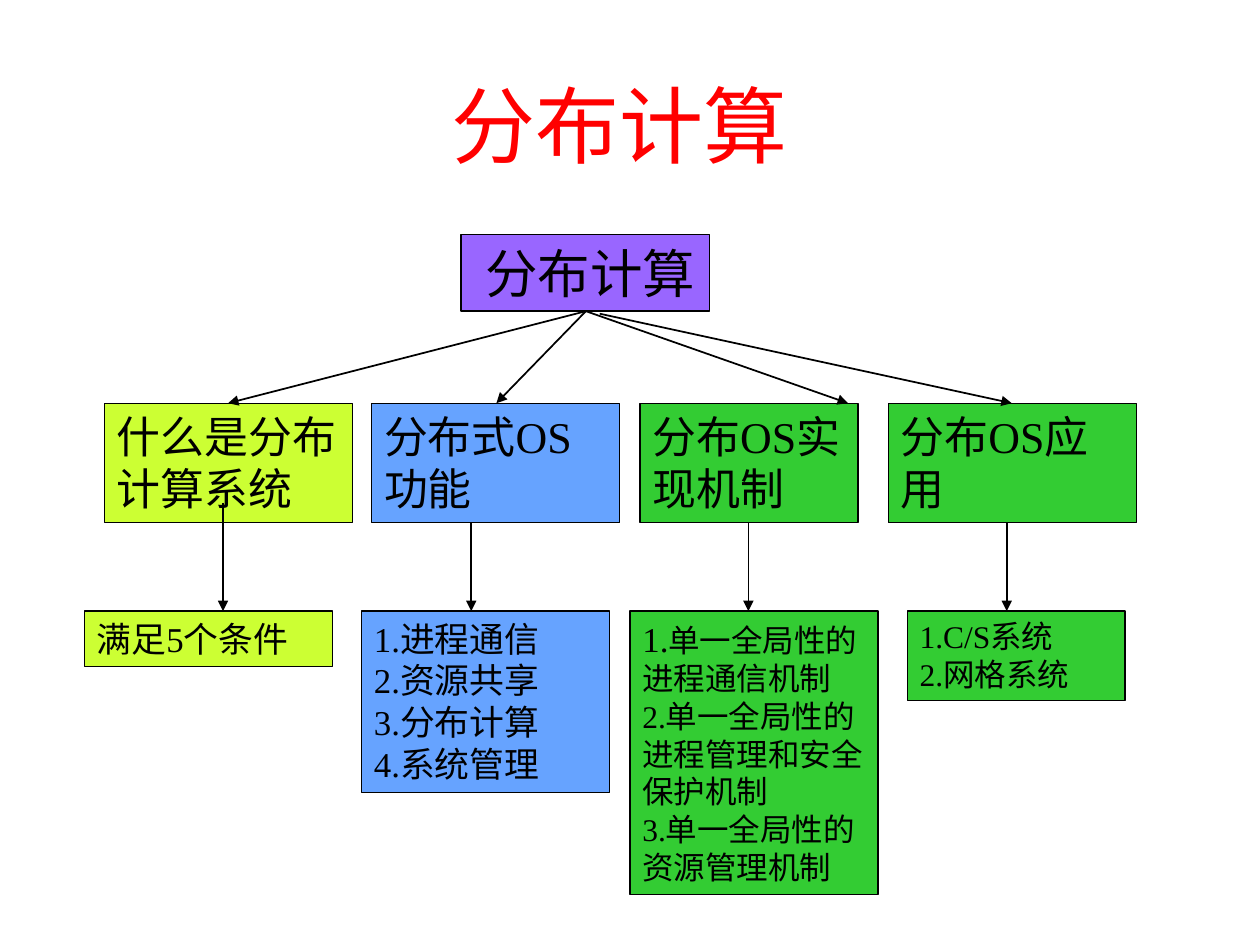
from lxml import etree
from pptx import Presentation
from pptx.dml.color import RGBColor
from pptx.enum.shapes import MSO_CONNECTOR, MSO_SHAPE
from pptx.enum.text import MSO_ANCHOR, PP_ALIGN
from pptx.oxml.ns import qn
from pptx.util import Inches, Pt

STRAIGHT = MSO_CONNECTOR.STRAIGHT
RECTANGLE = MSO_SHAPE.RECTANGLE
TOP, MIDDLE = MSO_ANCHOR.TOP, MSO_ANCHOR.MIDDLE
LEFT, CENTER = PP_ALIGN.LEFT, PP_ALIGN.CENTER

FONT = "Times New Roman"
BLACK, RED = "000000", "FF0000"
PURPLE, LIME, BLUE, GREEN = "9966FF", "CCFF33", "66A3FF", "33CC33"

# Rows of the tree, in inches
ROOT_TOP, ROOT_BOTTOM = 1.86, 2.47
TOPIC_TOP, TOPIC_HEIGHT = 3.2, 0.95
TOPIC_BOTTOM = TOPIC_TOP + TOPIC_HEIGHT
DETAIL_TOP = 4.85
# Box widths
WIDE, NARROW = 1.97, 1.73

presentation = Presentation()
presentation.slide_width = Inches(10)
presentation.slide_height = Inches(7.5)
slide = presentation.slides.add_slide(presentation.slide_layouts[6])


def add_box(lines, left, top, width, height, size, fill=None, color=BLACK,
            align=LEFT, anchor=TOP):
    shape = slide.shapes.add_shape(
        RECTANGLE, Inches(left), Inches(top), Inches(width), Inches(height))
    shape.shadow.inherit = False
    if fill:
        shape.fill.solid()
        shape.fill.fore_color.rgb = RGBColor.from_string(fill)
        shape.line.color.rgb = RGBColor.from_string(BLACK)
        shape.line.width = Pt(0.75)
    else:
        shape.fill.background()
        shape.line.fill.background()
    text_frame = shape.text_frame
    text_frame.word_wrap = True
    text_frame.vertical_anchor = anchor
    text_frame.text = "\n".join(lines)
    for paragraph in text_frame.paragraphs:
        paragraph.alignment = align
        for run in paragraph.runs:
            run.font.name = FONT
            run.font.size = Pt(size)
            run.font.color.rgb = RGBColor.from_string(color)
    return shape


def add_arrow(start_x, start_y, end_x, end_y):
    arrow = slide.shapes.add_connector(
        STRAIGHT, Inches(start_x), Inches(start_y), Inches(end_x), Inches(end_y))
    arrow.line.color.rgb = RGBColor.from_string(BLACK)
    arrow.line.width = Pt(1)
    etree.SubElement(arrow.line._get_or_add_ln(), qn("a:tailEnd"), type="triangle")
    etree.SubElement(arrow._element.spPr, qn("a:effectLst"))


# Title
add_box(["分布计算"], 0.67, 0.36, 8.5, 1.25, 48, color=RED,
        align=CENTER, anchor=MIDDLE)

# Root of the tree, its text set in a little from the left
root = add_box(["分布计算"], 3.66, ROOT_TOP, WIDE, ROOT_BOTTOM - ROOT_TOP, 30, PURPLE)
root.text_frame.margin_left = Inches(0.19)
root.text_frame.margin_right = Inches(0.05)

# Topics: text, fill, left, width, arrow start and arrow end
topics = [
    ("什么是分布计算系统", LIME, 0.83, WIDE, (4.65, ROOT_BOTTOM), 1.81),
    ("分布式OS功能", BLUE, 2.95, WIDE, (4.65, ROOT_BOTTOM), 3.94),
    ("分布OS实现机制", GREEN, 5.08, NARROW, (4.65, ROOT_BOTTOM), 6.73),
    ("分布OS应用", GREEN, 7.05, WIDE, (4.76, 2.49), 8.03),
]
for text, fill, left, width, start, end_x in topics:
    add_box([text], left, TOPIC_TOP, width, TOPIC_HEIGHT, 25.1, fill)
    add_arrow(*start, end_x, TOPIC_TOP)

# Details: lines, fill, left, width, height, text size, arrow x and arrow top
details = [
    (["满足5个条件"], LIME, 0.67, WIDE, 0.44, 19.9, 1.77, 3.99),
    (["1.进程通信", "2.资源共享", "3.分布计算", "4.系统管理"],
     BLUE, 2.87, WIDE, 1.44, 19.9, 3.74, TOPIC_BOTTOM),
    (["1.单一全局性的进程通信机制", "2.单一全局性的进程管理和安全保护机制",
      "3.单一全局性的资源管理机制"],
     GREEN, 5, WIDE, 2.25, 18, 5.94, TOPIC_BOTTOM),
    (["1.C/S系统", "2.网格系统"],
     GREEN, 7.2, NARROW, 0.71, 18, 7.99, TOPIC_BOTTOM),
]
for lines, fill, left, width, height, size, arrow_x, arrow_top in details:
    box = add_box(lines, left, DETAIL_TOP, width, height, size, fill)
    add_arrow(arrow_x, arrow_top, arrow_x, DETAIL_TOP)
    # The first number of the mechanisms is a little larger
    if lines[0].startswith("1.单一"):
        paragraph = box.text_frame.paragraphs[0]
        number = paragraph.runs[0]
        rest = paragraph.add_run()
        number.text, rest.text = "1.", lines[0][2:]
        rest.font.name = FONT
        rest.font.size = Pt(size)
        rest.font.color.rgb = RGBColor.from_string(BLACK)
        number.font.size = Pt(19.9)

presentation.save("out.pptx")
